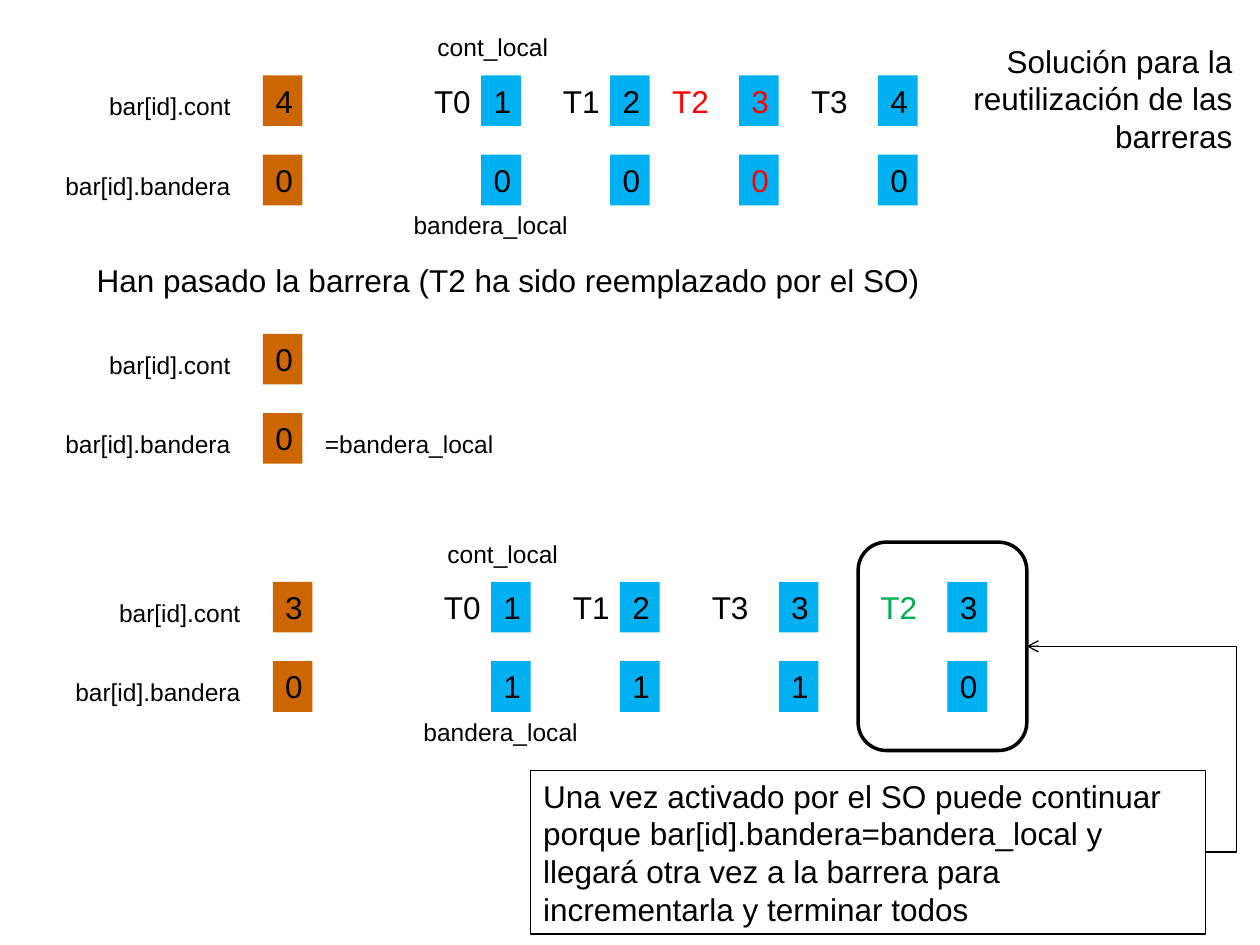
"""Build the slide on reusing barriers between threads."""
import pptx
import pptx.dml.color
import pptx.enum.shapes
import pptx.enum.text
import pptx.oxml
import pptx.oxml.ns
import pptx.util

Cm = pptx.util.Cm
Pt = pptx.util.Pt
RGBColor = pptx.dml.color.RGBColor
MSO_SHAPE = pptx.enum.shapes.MSO_SHAPE
PP_ALIGN = pptx.enum.text.PP_ALIGN
BLACK = RGBColor(0x00, 0x00, 0x00)
RED = RGBColor(0xFF, 0x00, 0x00)
GREEN = RGBColor(0x00, 0xB0, 0x50)
ORANGE = RGBColor(0xCC, 0x66, 0x00)
BLUE = RGBColor(0x00, 0xB0, 0xF0)
ROW_STEP = 1.6
CELL_W, CELL_H = 0.8, 1.02


def place(sp, x, y, w, h):
    """Set the position and size of a shape in centimetres."""
    sp.left, sp.top, sp.width, sp.height = Cm(x), Cm(y), Cm(w), Cm(h)


def write(sp, text, size=18, color=BLACK, align=PP_ALIGN.LEFT):
    """Fill a shape with formatted text."""
    tf = sp.text_frame
    tf.word_wrap = True
    tf.auto_size = pptx.enum.text.MSO_AUTO_SIZE.NONE
    tf.vertical_anchor = pptx.enum.text.MSO_ANCHOR.TOP
    p = tf.paragraphs[0]
    p.alignment = align
    p.line_spacing = 1.0
    p.space_before = Pt(0)
    r = p.add_run()
    r.text = text
    r.font.name = "Arial"
    r.font.size = Pt(size)
    r.font.color.rgb = color


def add_title(s, text, x, y, w, h):
    """Move and format the title placeholder."""
    place(s.shapes.title, x, y, w, h)
    write(s.shapes.title, text, align=PP_ALIGN.RIGHT)


def add_label(s, text, x, y, w, h=CELL_H, **fmt):
    """Add a text box."""
    sp = s.shapes.add_textbox(Cm(x), Cm(y), Cm(w), Cm(h))
    write(sp, text, **fmt)


def add_small(s, text, x, y, w, align=PP_ALIGN.RIGHT):
    """Add a variable name in small type."""
    add_label(s, text, x, y, w, 0.86, size=14, align=align)


def add_box(s, x, y, w, h, kind=MSO_SHAPE.RECTANGLE, fill=None, line=None):
    """Add a shape with an optional fill and outline width."""
    sp = s.shapes.add_shape(kind, Cm(x), Cm(y), Cm(w), Cm(h))
    sp.shadow.inherit = False
    if fill is None:
        sp.fill.background()
    else:
        sp.fill.solid()
        sp.fill.fore_color.rgb = fill
    if line is None:
        sp.line.fill.background()
    else:
        sp.line.color.rgb = BLACK
        sp.line.width = Pt(line)
    return sp


def add_pair(s, x, y, values, fill, color=BLACK):
    """Add the counter cell and the flag cell below it."""
    for i, value in enumerate(values):
        sp = add_box(s, x, y + i * ROW_STEP, CELL_W, CELL_H, fill=fill)
        write(sp, value, color=color, align=PP_ALIGN.CENTER)


def add_barrier(s, x, y, values):
    """Add the shared barrier variables with their names."""
    add_small(s, "bar[id].cont", x + 1.9, y + 0.2, 3)
    add_small(s, "bar[id].bandera", x + 0.7, y + 0.2 + ROW_STEP, 4.2)
    add_pair(s, x + 5.3, y, values, ORANGE)


def add_threads(s, x, y, threads):
    """Add the local variables of each thread."""
    add_small(s, "cont_local", x + 8.3, y - 0.99, 3)
    add_small(s, "bandera_local", x + 7.9, y + 2.59, 3.8)
    for name, name_x, cell_x, values, name_color, color in threads:
        add_label(s, name, x + name_x, y, 1.4, color=name_color)
        add_pair(s, x + cell_x, y, values, BLUE, color)


def add_elbow(s, start, end, bend):
    """Join the right sides of two shapes with a bent arrow."""
    c = s.shapes.add_connector(pptx.enum.shapes.MSO_CONNECTOR.ELBOW, 0, 0, 0, 0)
    c.begin_connect(start, 3)
    c.end_connect(end, 3)
    c.line.color.rgb = BLACK
    c.line.width = Pt(0.75)
    spPr = c._element.spPr
    sub = pptx.oxml.ns.qn
    ns = pptx.oxml.ns.nsdecls("a")
    spPr.find(".//" + sub("a:avLst")).append(pptx.oxml.parse_xml(
        f'<a:gd {ns} name="adj1" fmla="val {bend}"/>'))
    spPr.find(sub("a:ln")).append(pptx.oxml.parse_xml(
        f'<a:tailEnd {ns} type="arrow"/>'))
    spPr.append(pptx.oxml.parse_xml(f"<a:effectLst {ns}/>"))


def main():
    """Build and save the slide."""
    prs = pptx.Presentation()
    prs.slide_width, prs.slide_height = Cm(25.4), Cm(19.05)
    s = prs.slides.add_slide(prs.slide_layouts[5])
    add_title(s, "Solución para la reutilización de las barreras",
              17.1, 0.71, 8, 2.54)

    add_barrier(s, 0, 1.52, "40")
    add_threads(s, 0, 1.52, [
        ("T0", 8.5, 9.7, "10", BLACK, BLACK),
        ("T1", 11.1, 12.3, "20", BLACK, BLACK),
        ("T2", 13.3, 14.9, "30", RED, RED),
        ("T3", 16.1, 17.7, "40", BLACK, BLACK),
    ])
    add_label(s, "Han pasado la barrera (T2 ha sido reemplazado por el SO)",
              1.7, 5.13, 21)

    add_barrier(s, 0, 6.73, "00")
    add_small(s, "=bandera_local", 6.3, 8.53, 4.2, align=PP_ALIGN.LEFT)

    add_barrier(s, 0.2, 11.73, "30")
    add_threads(s, 0.2, 11.73, [
        ("T0", 8.5, 9.7, "11", BLACK, BLACK),
        ("T1", 11.1, 12.3, "21", BLACK, BLACK),
        ("T3", 13.9, 15.5, "31", BLACK, BLACK),
        ("T2", 17.3, 18.9, "30", GREEN, BLACK),
    ])
    note = add_box(s, 10.7, 15.53, 13.6, 3.3, line=0.75)
    write(note, "Una vez activado por el SO puede continuar porque "
          "bar[id].bandera=bandera_local y llegará otra vez a la barrera "
          "para incrementarla y terminar todos")
    frame = add_box(s, 17.3, 10.93, 3.4, 4.2,
                    kind=MSO_SHAPE.ROUNDED_RECTANGLE, line=2)
    add_elbow(s, note, frame, -17600)
    prs.save("out.pptx")


if __name__ == "__main__":
    main()
